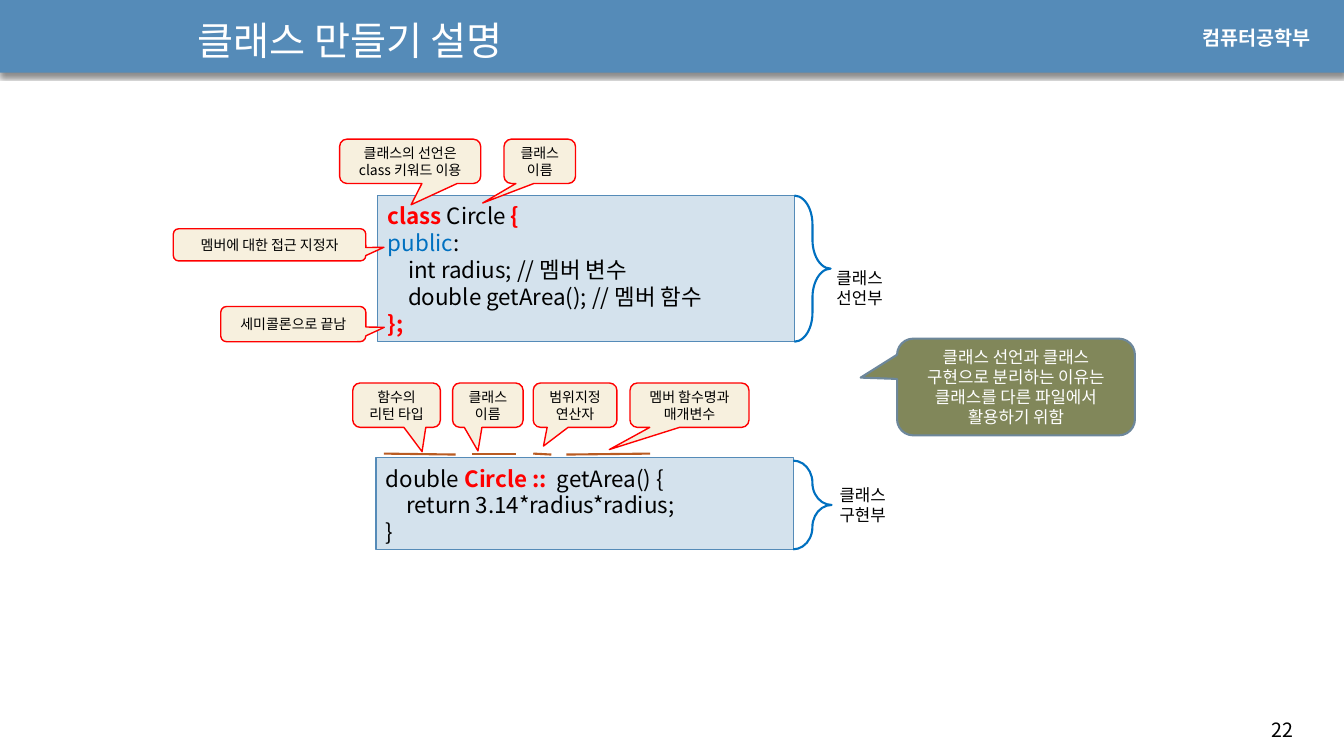
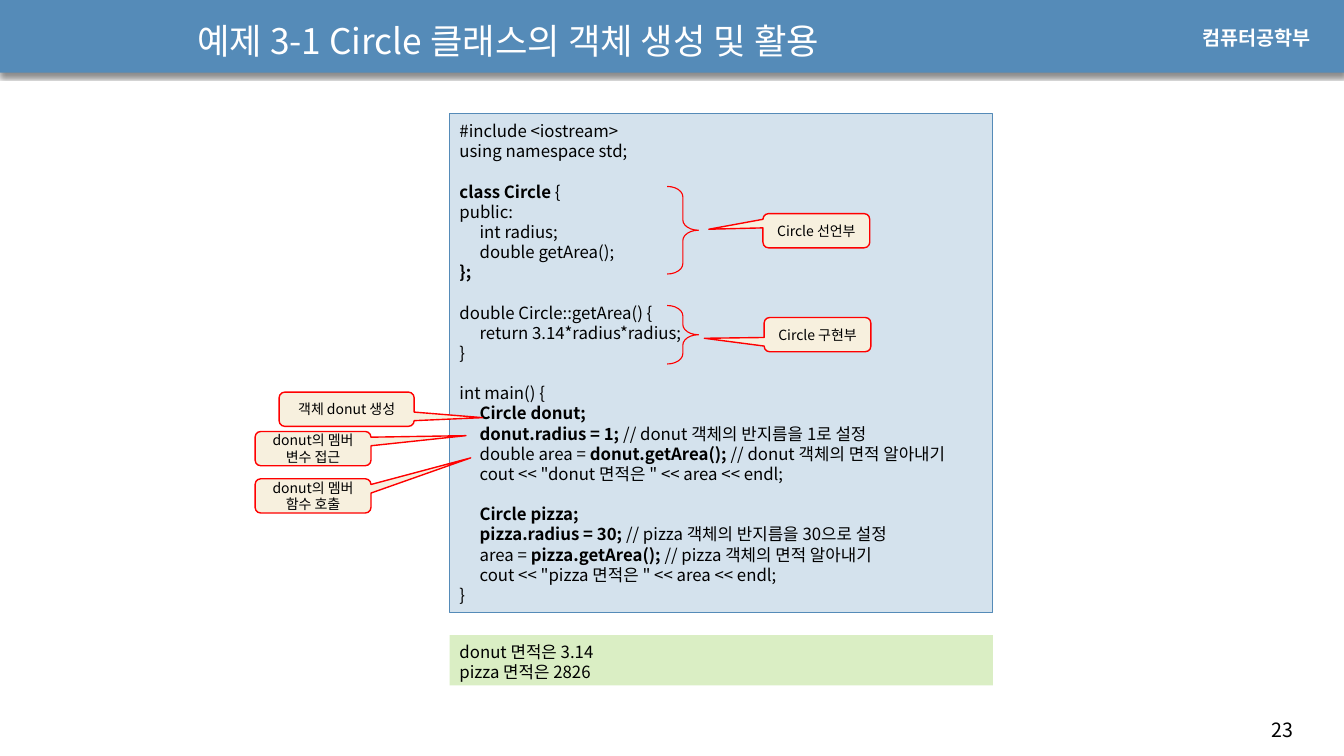
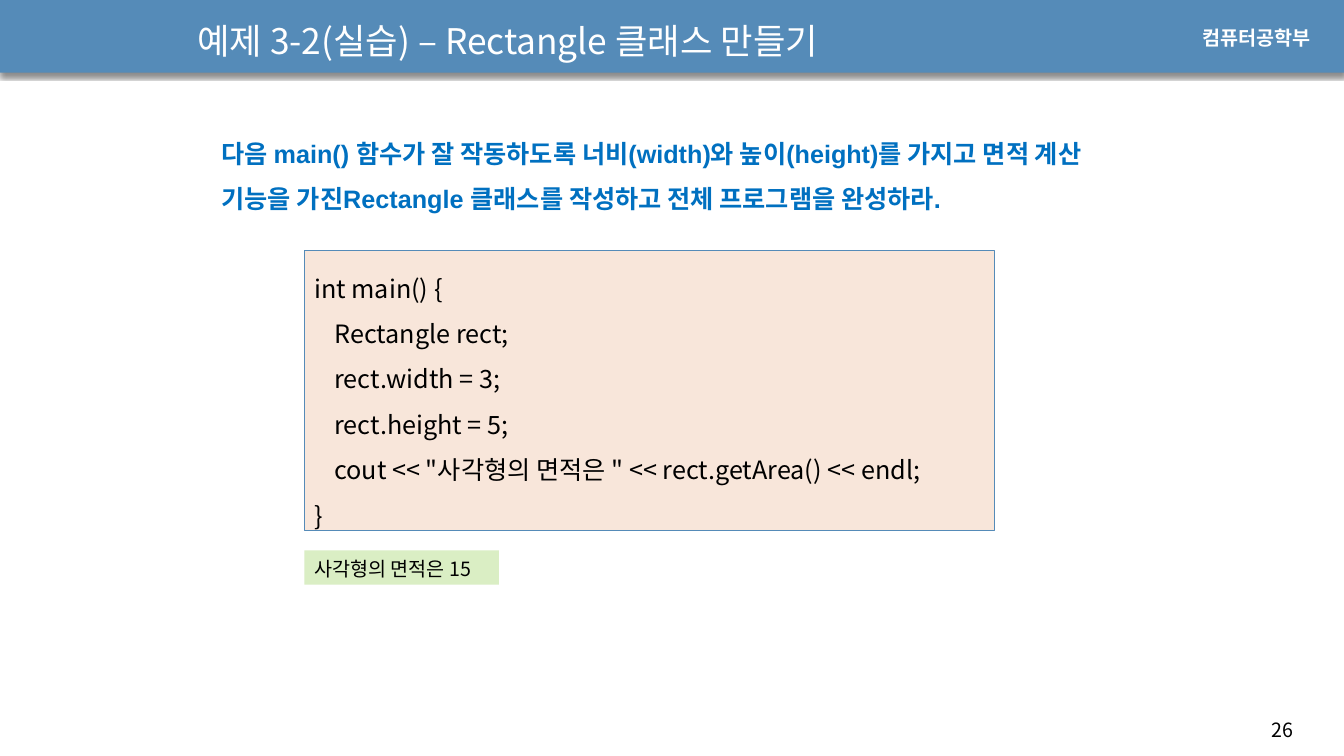
from lxml import etree
from pptx import Presentation
from pptx.dml.color import RGBColor
from pptx.enum import shapes, text
from pptx.oxml import ns
from pptx.util import Pt

HUE = {
    "band": "558BB8", "code": "D4E2ED", "peach": "F8E6DA", "green": "DAEEC4",
    "cream": "F7F0DE", "olive": "81875A", "slate": "6D879B", "rust": "B95B22",
    "red": "FF0000", "blue": "0070C0", "black": "000000", "white": "FFFFFF",
}
SANS = "Noto Sans CJK KR"
KIND = shapes.MSO_SHAPE
TOP, MID = text.MSO_ANCHOR.TOP, text.MSO_ANCHOR.MIDDLE
LEFT, MIDST = text.PP_ALIGN.LEFT, text.PP_ALIGN.CENTER
TAB = 14.4


def rgb(name):
    return RGBColor.from_string(HUE[name])


def add(parent, tag, **attrs):
    node = etree.SubElement(parent, ns.qn(tag))
    for key, val in attrs.items():
        node.set(key, str(val))
    return node


def write(shape, lines, size=12, hue="black", bold=False, face=SANS,
          align=LEFT, anchor=TOP, lead=1.2, pad=5):
    frame = shape.text_frame
    frame.word_wrap = True
    frame.vertical_anchor = anchor
    frame.margin_left = frame.margin_right = Pt(7.2)
    frame.margin_top, frame.margin_bottom = Pt(pad), Pt(0)
    pitch = round(size * lead, 2)
    para, gap = None, 0
    for line in lines:
        if not line:
            gap += pitch
            continue
        para = frame.add_paragraph() if para else frame.paragraphs[0]
        runs = [line] if isinstance(line, str) else line
        if any("\t" in run for run in runs):
            tabs = add(para._p.get_or_add_pPr(), "a:tabLst")
            add(tabs, "a:tab", pos=int(Pt(TAB)), algn="l")
        para.alignment = align
        para.line_spacing = Pt(pitch)
        if gap:
            para.space_before, gap = Pt(gap), 0
        for run in runs:
            word, tint, heavy = (run, hue, bold) if isinstance(run, str) else run
            part = para.add_run()
            part.text = word
            font = part.font
            font.size, font.bold, font.name = Pt(size), heavy, face
            font.color.rgb = rgb(tint)
            add(part._r.get_or_add_rPr(), "a:ea", typeface=SANS)


class Deck:
    """Holds the shared style and the slide being drawn."""

    def __init__(self):
        self.show = Presentation()
        self.show.slide_width, self.show.slide_height = Pt(960), Pt(540)
        self.slide = None

    def page(self, title, num, size=25.2):
        self.slide = self.show.slides.add_slide(self.show.slide_layouts[6])
        band = self.shape(KIND.RECTANGLE, (0, -0.5, 960, 52.5), "band")
        glow = add(band._element.spPr.find(ns.qn("a:effectLst")), "a:outerShdw",
                   blurRad=int(Pt(3)), dist=int(Pt(2.4)), dir=5400000,
                   algn="t", rotWithShape=0)
        add(add(glow, "a:srgbClr", val=HUE["black"]), "a:alpha", val=45000)
        self.label((901.4, 507.6, 51, 24.5), [num], size=14)
        self.label((851.8, 13.7, 98.6, 24.5), ["컴퓨터공학부"], size=14,
                   hue="white", bold=True, face="Arial")
        self.label((133.9, 3.6, 532.8, 45.4), [title], size=size,
                   hue="white", anchor=MID)

    def shape(self, kind, spot, fill=None, line=None, width=0.75, adj=()):
        item = self.slide.shapes.add_shape(kind, *map(Pt, spot))
        item.shadow.inherit = False
        if fill:
            item.fill.solid()
            item.fill.fore_color.rgb = rgb(fill)
        else:
            item.fill.background()
        if line:
            item.line.color.rgb = rgb(line)
            item.line.width = Pt(width)
        else:
            item.line.fill.background()
        for i, val in enumerate(adj):
            item.adjustments[i] = val
        return item

    def label(self, spot, lines, **style):
        write(self.slide.shapes.add_textbox(*map(Pt, spot)), lines, **style)

    def panel(self, spot, lines, fill="code", line="band", **style):
        write(self.shape(KIND.RECTANGLE, spot, fill, line), lines, **style)

    def note(self, spot, tip, words, fill="cream", line="red", width=1,
             size=10, hue="black"):
        item = self.shape(KIND.ROUNDED_RECTANGULAR_CALLOUT, spot, fill, line,
                          width, (*tip, 0.167))
        write(item, words.split("\n"), size=size, hue=hue, align=MIDST,
              anchor=MID, pad=0)

    def brace(self, spot, bend, line="blue", width=1.5):
        self.shape(KIND.RIGHT_BRACE, spot, None, line, width, (bend, 0.5))

    def rule(self, x1, y1, x2, y2):
        item = self.slide.shapes.add_connector(
            shapes.MSO_CONNECTOR.STRAIGHT, *map(Pt, (x1, y1, x2, y2)))
        item.line.color.rgb = rgb("rust")
        item.line.width = Pt(1.5)
        add(item._element.spPr, "a:effectLst")


def red(word):
    return word, "red", True


def bold(word):
    return word, "black", True


def explain(deck):
    deck.page("클래스 만들기 설명", "22", size=28)
    deck.panel((268.6, 326.9, 298.1, 65.5), [
        ["double ", red("Circle ::  "), "getArea() {"],
        "\treturn 3.14*radius*radius;",
        "}",
    ], size=16)
    for ends in ((274.3, 324, 325.4, 324.7), (337, 324, 368.6, 324),
                 (380.9, 324, 393.8, 324.7), (404.6, 324.7, 464.4, 324)):
        deck.rule(*ends)
    for x, wide, tip, words in (
            (252, 62.6, (0.291, 1.048), "함수의 리턴 타입"),
            (323.3, 50.4, (-0.14, 1.032), "클래스\n이름"),
            (380.9, 59.8, (-0.377, 0.922), "범위지정연산자"),
            (450, 85, (-0.674, 1), "멤버 함수명과 매개변수")):
        deck.note((x, 273.6, wide, 31.7), tip, words)
    deck.note((640.8, 241.9, 169.9, 69.1), (-0.653, -0.097),
              "클래스 선언과 클래스 구현으로 분리하는 이유는 "
              "클래스를 다른 파일에서 활용하기 위함",
              fill="olive", line="slate", width=1.5, size=12, hue="white")
    deck.panel((270, 139.7, 297.4, 104.4), [
        [red("class"), " Circle ", red("{")],
        [("public", "blue", False), ":"],
        "\tint radius; // 멤버 변수",
        "\tdouble getArea(); // 멤버 함수",
        [red("};")],
    ], size=16)
    deck.brace((567.4, 139.7, 25.9, 104.4), 0.797)
    deck.brace((566.6, 329, 27.4, 63.4), 0.712)
    deck.label((592.6, 341.3, 51, 36), ["클래스", "구현부"])
    deck.label((590.4, 186.5, 51, 36), ["클래스", "선언부"])
    for spot, tip, words in (
            ((157.7, 218.9, 103.7, 25.2), (0.627, 0.092), "세미콜론으로 끝남"),
            ((242.6, 99.4, 100.8, 31.7), (0.007, 0.979),
             "클래스의 선언은 class 키워드 이용"),
            ((360, 99.4, 51.1, 31.7), (-0.798, 0.94), "클래스 이름"),
            ((123.8, 163.4, 137.5, 23), (0.594, 0.078),
             "멤버에 대한 접근 지정자")):
        deck.note(spot, tip, words)


def sample(deck):
    deck.page("예제 3-1 Circle 클래스의 객체 생성 및 활용", "23")
    deck.panel((321.1, 81.4, 388.1, 356.4), [
        "#include <iostream>",
        "using namespace std;",
        "",
        [bold("class Circle "), "{"],
        "public:",
        "\tint radius;",
        "\tdouble getArea();",
        [bold("};")],
        "",
        "double Circle::getArea() {",
        "\treturn 3.14*radius*radius;",
        "}",
        "",
        "int main() {",
        ["\t", bold("Circle donut;")],
        ["\t", bold("donut.radius = 1; "), "// donut 객체의 반지름을 1로 설정"],
        ["\tdouble area = ", bold("donut.getArea();"),
         " // donut 객체의 면적 알아내기"],
        "\tcout << \"donut 면적은 \" << area << endl;",
        "",
        ["\t", bold("Circle pizza;")],
        ["\t", bold("pizza.radius = 30; "), "// pizza 객체의 반지름을 30으로 설정"],
        ["\tarea = ", bold("pizza.getArea(); "), "// pizza 객체의 면적 알아내기"],
        "\tcout << \"pizza 면적은 \" << area << endl;",
        "}",
    ])
    deck.panel((321.1, 453.6, 388.1, 36),
               ["donut 면적은 3.14", "pizza 면적은 2826"], "green", None)
    for x, y, wide, tip, words in (
            (199.4, 280.1, 96.5, (1.007, 0.246), "객체 donut 생성"),
            (182.2, 308.2, 82.8, (1.319, -0.377), "donut의 멤버 변수 접근"),
            (182.2, 342, 82.8, (1.36, -1.109), "donut의 멤버 함수 호출"),
            (545, 152.6, 76.3, (-1.006, -0.043), "Circle 선언부"),
            (545.8, 226.8, 76.3, (-1.059, 0.107), "Circle 구현부")):
        deck.note((x, y, wide, 24.5), tip, words)
    for y, high in ((133.2, 62.6), (218.2, 41.8)):
        deck.brace((476.6, y, 22.3, high), 0.332, "red", 0.79)


def task(deck):
    deck.page("예제 3-2(실습) – Rectangle 클래스 만들기", "26")
    deck.label((151.2, 84.2, 657.4, 68.4), [
        "다음 main() 함수가 잘 작동하도록 너비(width)와 높이(height)를 가지고 면적 "
        "계산 기능을 가진Rectangle 클래스를 작성하고 전체 프로그램을 완성하라.",
    ], size=18, hue="blue", bold=True, face="Arial", lead=1.8, pad=3.6)
    deck.panel((217.4, 179.3, 493.2, 199.4), [
        "int main() {",
        "\tRectangle rect;",
        "\trect.width = 3;",
        "\trect.height = 5;",
        "\tcout << \"사각형의 면적은 \" << rect.getArea() << endl;",
        "}",
    ], "peach", size=18, lead=1.8)
    deck.panel((217.4, 393.1, 139, 24.5), ["사각형의 면적은 15"],
               "green", None, size=14)


def main():
    deck = Deck()
    for draw in (explain, sample, task):
        draw(deck)
    deck.show.save("out.pptx")


if __name__ == "__main__":
    main()
